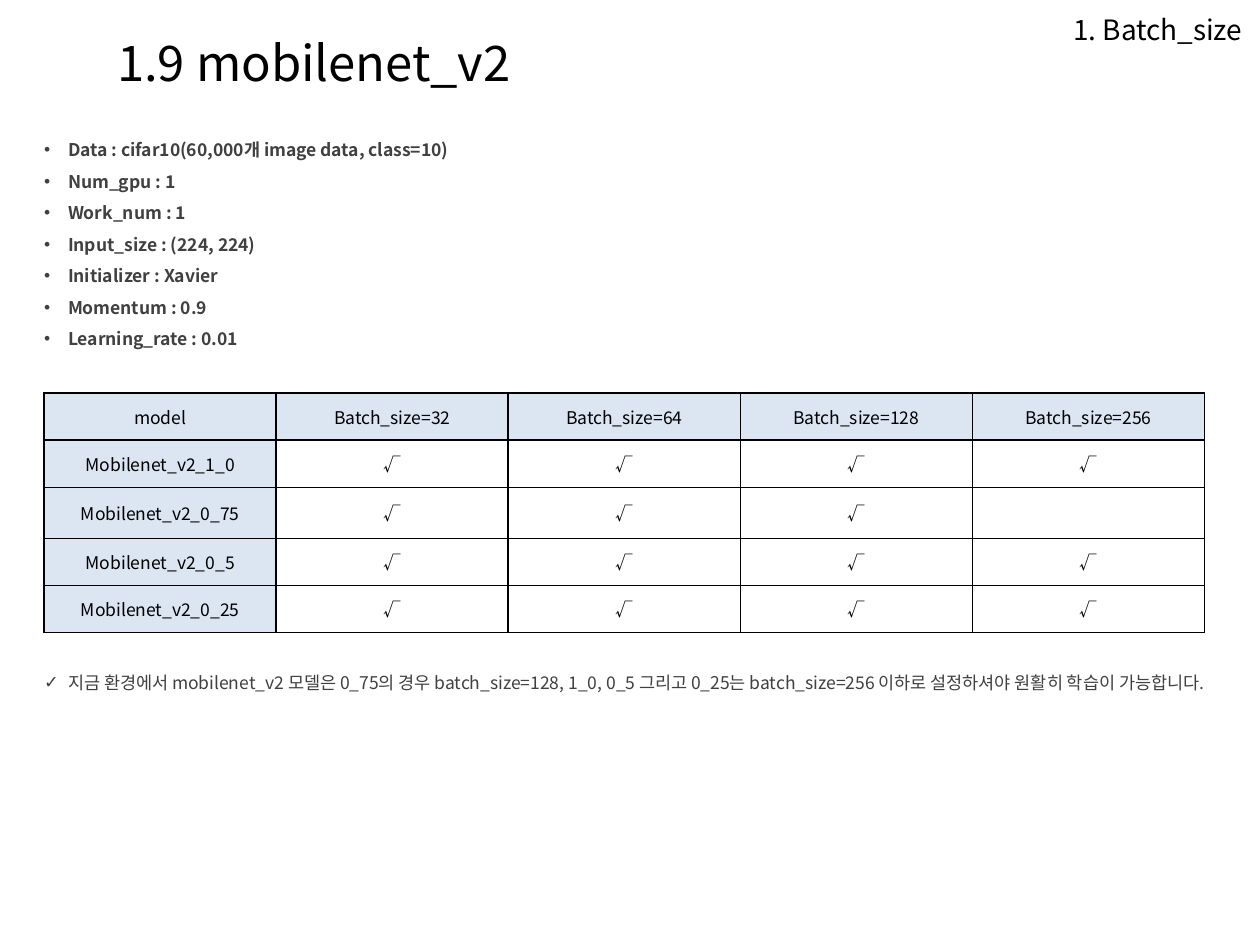
from typing import NamedTuple

from lxml.etree import SubElement as Sub
from pptx import Presentation
from pptx.dml.color import RGBColor
from pptx.enum.text import MSO_ANCHOR as Anchor, MSO_AUTO_SIZE as Fit, PP_ALIGN as Align
from pptx.oxml.ns import qn
from pptx.util import Inches, Pt

FONT = "Noto Sans CJK KR"
BLACK, GRAY, PALE, WHITE = "000000", "404040", "DCE6F2", "FFFFFF"
CHECK = "√"


class Box(NamedTuple):
    left: float
    top: float
    width: float
    height: float


class Row(NamedTuple):
    model: str
    marks: tuple[bool, ...]


HEAD = Box(6.73, 0.05, 3.23, 0.32)
TITLE = Box(0.83, 0.21, 7.48, 0.57)
LIST = Box(0.35, 1.02, 9.21, 1.77)
GRID = Box(0.35, 3.12, 9.21, 1.87)
NOTE = Box(0.35, 5.25, 9.21, 0.5)

FACTS = [
    "Data : cifar10(60,000개 image data, class=10)",
    "Num_gpu : 1",
    "Work_num : 1",
    "Input_size : (224, 224)",
    "Initializer : Xavier",
    "Momentum : 0.9",
    "Learning_rate : 0.01",
]
ADVICE = (
    "지금 환경에서 mobilenet_v2 모델은 0_75의 경우 batch_size=128, 1_0, 0_5 "
    "그리고 0_25는 batch_size=256 이하로 설정하셔야 원활히 학습이 가능합니다."
)
SIZES = [32, 64, 128, 256]
ROWS = [
    Row("Mobilenet_v2_1_0", (True, True, True, True)),
    Row("Mobilenet_v2_0_75", (True, True, True, False)),
    Row("Mobilenet_v2_0_5", (True, True, True, True)),
    Row("Mobilenet_v2_0_25", (True, True, True, True)),
]


def color(code: str) -> RGBColor:
    return RGBColor.from_string(code)


def place(shape, box: Box) -> None:
    shape.left, shape.top, shape.width, shape.height = map(Inches, box)


def write(frame, text: str, *, size: float = 10, ink: str = BLACK, bold: bool = False,
          align=Align.LEFT, line: float = 1.0, mark: str = "") -> None:
    frame.text = text
    for para in frame.paragraphs:
        para.alignment = align
        para.line_spacing = line
        para.space_before = Pt(0)
        if mark:
            props = para._p.get_or_add_pPr()
            props.set("marL", str(Inches(0.19)))
            props.set("indent", str(Inches(-0.19)))
            Sub(props, qn("a:buFont"), typeface="Arial")
            Sub(props, qn("a:buChar"), char=mark)
        for run in para.runs:
            font = run.font
            font.name, font.size, font.bold = FONT, Pt(size), bold
            font.color.rgb = color(ink)
            Sub(run._r.get_or_add_rPr(), qn("a:ea"), typeface=FONT)


def fill_box(shape, box: Box, text: str, *, inset: float | None = None, **style) -> None:
    place(shape, box)
    frame = shape.text_frame
    frame.word_wrap = True
    frame.auto_size = Fit.NONE
    frame.vertical_anchor = Anchor.TOP
    if inset is not None:
        frame.margin_left = frame.margin_right = Inches(inset)
        frame.margin_top = frame.margin_bottom = Inches(inset)
    write(frame, text, **style)


def border(cell) -> None:
    props = cell._tc.get_or_add_tcPr()
    for spot, side in enumerate(("lnL", "lnR", "lnT", "lnB")):
        line = Sub(props, qn(f"a:{side}"), w=str(Pt(1)))
        Sub(Sub(line, qn("a:solidFill")), qn("a:srgbClr"), val=BLACK)
        props.insert(spot, line)


def draw_grid(slide, box: Box, data: list[list[str]]) -> None:
    rows, cols = len(data), len(data[0])
    table = slide.shapes.add_table(rows, cols, *map(Inches, box)).table
    for y, row in enumerate(data):
        for x, text in enumerate(row):
            cell = table.cell(y, x)
            cell.vertical_anchor = Anchor.MIDDLE
            cell.fill.solid()
            cell.fill.fore_color.rgb = color(WHITE if x and y else PALE)
            border(cell)
            write(cell.text_frame, text, align=Align.CENTER)


deck = Presentation()
deck.slide_width, deck.slide_height = Inches(10), Inches(7.5)
slide = deck.slides.add_slide(deck.slide_layouts[3])
title, facts, note = list(slide.placeholders)[:3]

head = slide.shapes.add_textbox(*map(Inches, HEAD))
fill_box(head, HEAD, "1. Batch_size", size=16, align=Align.RIGHT)
fill_box(title, TITLE, "1.9 mobilenet_v2", size=28)
fill_box(facts, LIST, "\n".join(FACTS), inset=0, ink=GRAY, bold=True, line=1.5, mark="•")
fill_box(note, NOTE, ADVICE, inset=0, ink=GRAY, line=1.5, mark="✓")

names = ["model"] + [f"Batch_size={size}" for size in SIZES]
marks = [[row.model] + [CHECK if on else "" for on in row.marks] for row in ROWS]
draw_grid(slide, GRID, [names] + marks)

deck.save("out.pptx")
